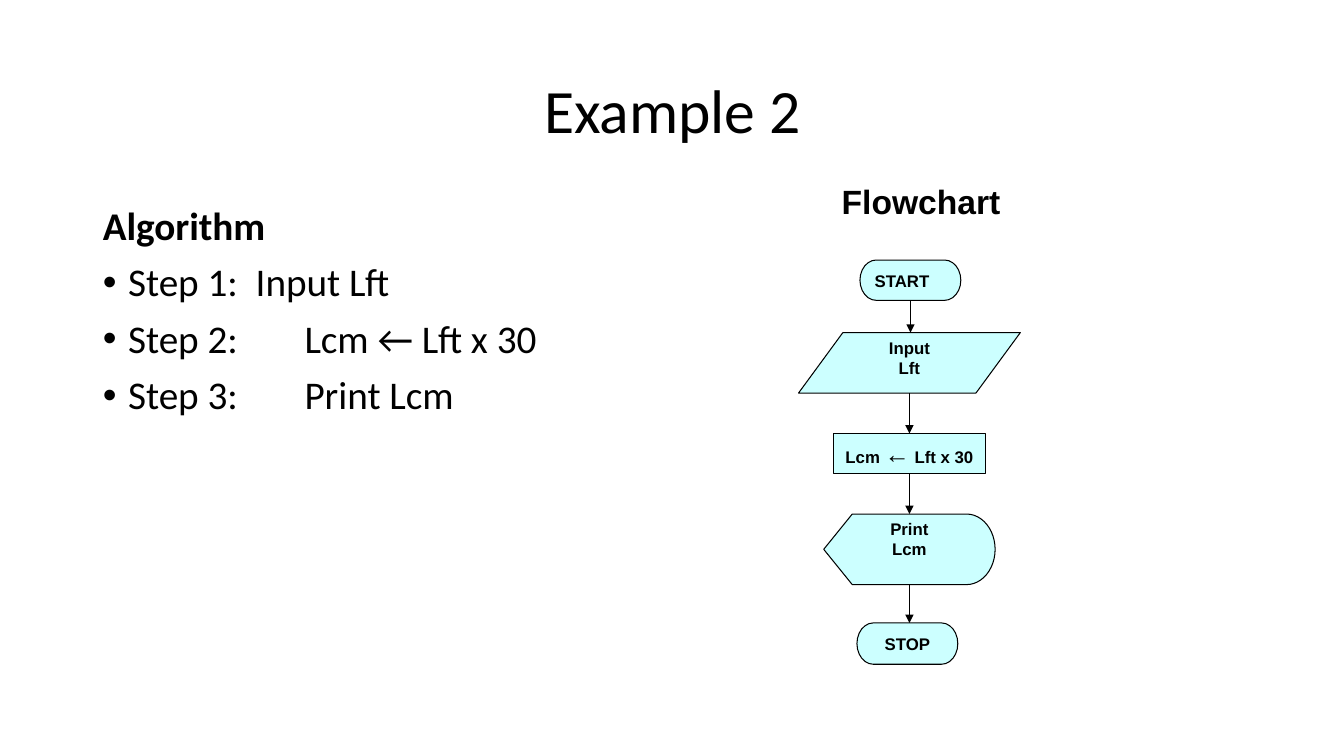
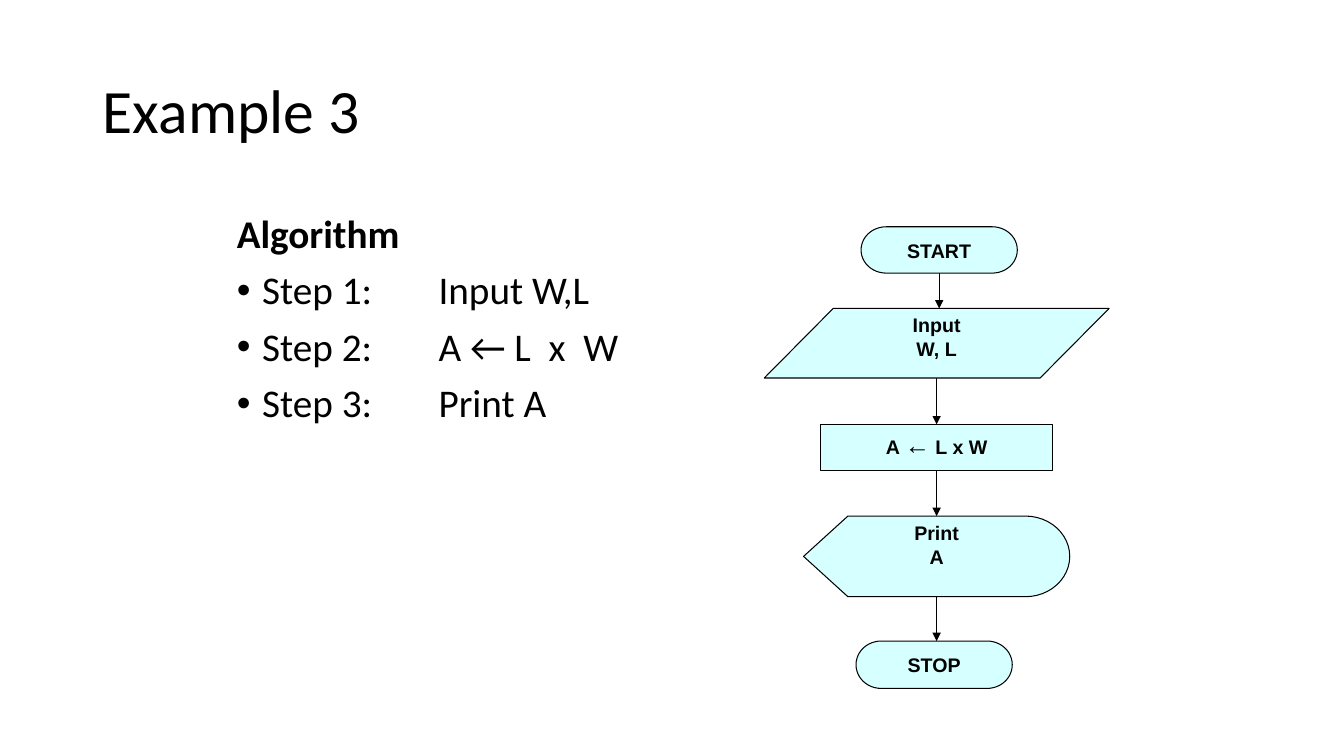
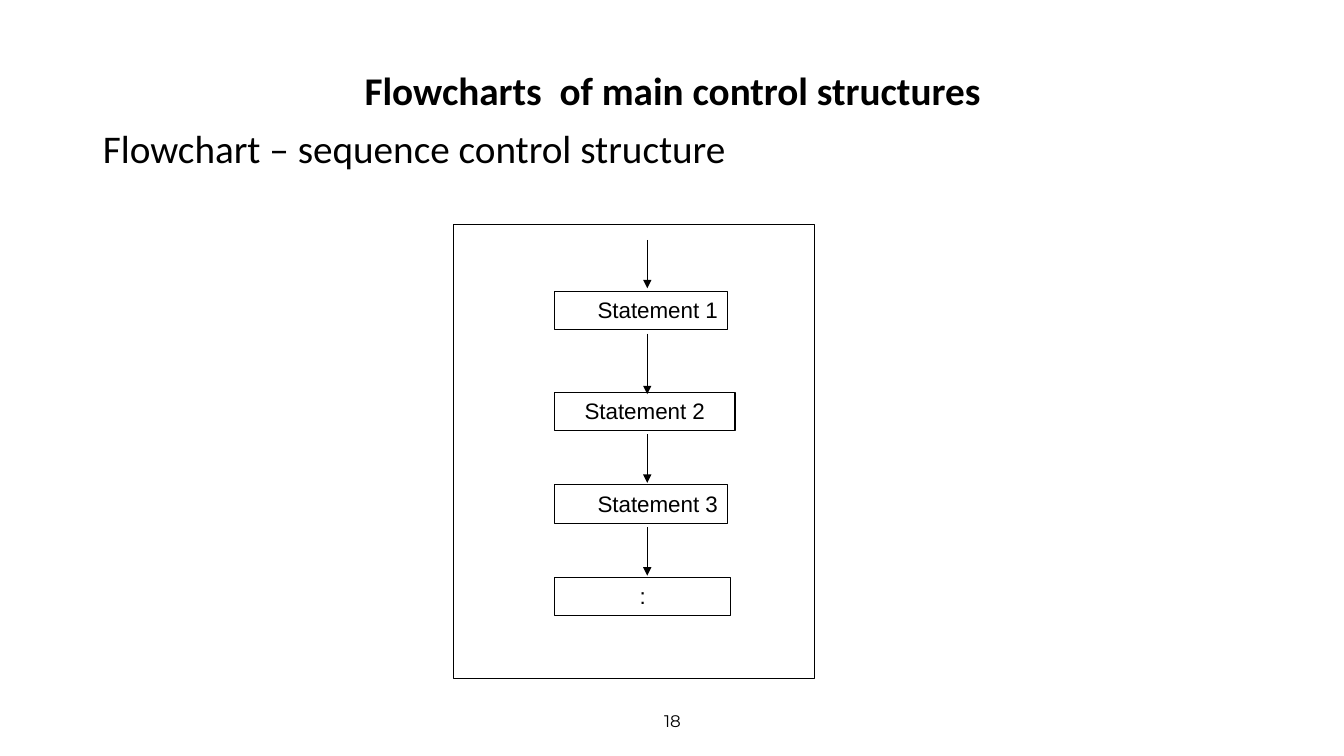
from lxml import etree
from pptx import Presentation
from pptx.dml.color import RGBColor
from pptx.enum.shapes import MSO_CONNECTOR, MSO_SHAPE
from pptx.enum.text import MSO_ANCHOR, MSO_AUTO_SIZE, PP_ALIGN
from pptx.oxml.ns import qn
from pptx.util import Inches, Pt

BLACK = RGBColor(0x00, 0x00, 0x00)
WHITE = RGBColor(0xFF, 0xFF, 0xFF)
PALE_CYAN = RGBColor(0xCC, 0xFF, 0xFF)

HEADING_FONT = "Calibri"
DIAGRAM_FONT = "Arial"
NUMBER_FONT = "Montserrat"

LEFT, CENTER, RIGHT = PP_ALIGN.LEFT, PP_ALIGN.CENTER, PP_ALIGN.RIGHT
TOP, MIDDLE = MSO_ANCHOR.TOP, MSO_ANCHOR.MIDDLE
NO_RESIZE = MSO_AUTO_SIZE.NONE
STRAIGHT = MSO_CONNECTOR.STRAIGHT
RECTANGLE = MSO_SHAPE.RECTANGLE
TERMINATOR = MSO_SHAPE.FLOWCHART_TERMINATOR
INPUT = MSO_SHAPE.FLOWCHART_DATA
PROCESS = MSO_SHAPE.FLOWCHART_PROCESS
DISPLAY = MSO_SHAPE.FLOWCHART_DISPLAY

TITLE_AREA = (0.92, 0.4, 11.5, 1.45)
CONTENT_LAYOUT, TITLE_ONLY_LAYOUT = 1, 5
TOP_SIDE, BOTTOM_SIDE = 0, 2
ASSIGN = "←"
LINE_WIDTH = Pt(0.75)


def add_text(paragraph, text, size=28, font=HEADING_FONT, bold=False,
             align=LEFT, line_spacing=None, space_before=0):
    paragraph.alignment = align
    paragraph.space_before = Pt(space_before)
    if line_spacing:
        paragraph.line_spacing = line_spacing
    run = paragraph.add_run()
    run.text = text
    run.font.size = Pt(size)
    run.font.name = font
    run.font.bold = bold
    run.font.color.rgb = BLACK


def place(shape, area):
    shape.left, shape.top, shape.width, shape.height = map(Inches, area)


def format_frame(shape, anchor):
    frame = shape.text_frame
    frame.word_wrap = True
    frame.auto_size = NO_RESIZE
    frame.vertical_anchor = anchor
    return frame


def get_paragraph(frame, index):
    return frame.add_paragraph() if index else frame.paragraphs[0]


def add_slide(presentation, layout, title, area=TITLE_AREA, size=44, align=LEFT):
    slide = presentation.slides.add_slide(presentation.slide_layouts[layout])
    slide.background.fill.solid()
    slide.background.fill.fore_color.rgb = WHITE
    shape = slide.shapes.title
    place(shape, area)
    frame = format_frame(shape, MIDDLE)
    add_text(frame.paragraphs[0], title, size=size, align=align, line_spacing=0.9)
    return slide


def add_text_box(slide, area, text, anchor=TOP, **text_format):
    box = slide.shapes.add_textbox(*map(Inches, area))
    frame = format_frame(box, anchor)
    add_text(frame.paragraphs[0], text, **text_format)


def set_bullet(paragraph, bullet):
    properties = paragraph._p.get_or_add_pPr()
    properties.set("marL", str(Inches(0.25)))
    properties.set("indent", str(Inches(-0.25)))
    properties.set("defTabSz", str(Inches(1)))
    if bullet:
        etree.SubElement(properties, qn("a:buFont")).set("typeface", DIAGRAM_FONT)
        etree.SubElement(properties, qn("a:buChar")).set("char", bullet)
    else:
        etree.SubElement(properties, qn("a:buNone"))


def fill_algorithm(slide, area, steps):
    body = slide.placeholders[1]
    place(body, area)
    frame = format_frame(body, TOP)
    for index, line in enumerate(["Algorithm", *steps]):
        paragraph = get_paragraph(frame, index)
        set_bullet(paragraph, "•" if index else None)
        add_text(paragraph, line, bold=index == 0, line_spacing=0.9,
                 space_before=10 if index else 0)


def add_box(slide, kind, area, lines=(), size=16, bold=False, align=CENTER,
            fill=None, opacity=100):
    shape = slide.shapes.add_shape(kind, *map(Inches, area))
    shape.shadow.inherit = False
    shape.line.color.rgb = BLACK
    shape.line.width = LINE_WIDTH
    if fill is None:
        shape.fill.background()
    else:
        shape.fill.solid()
        shape.fill.fore_color.rgb = fill
        if opacity < 100:
            color = shape._element.spPr.find(qn("a:solidFill"))[0]
            etree.SubElement(color, qn("a:alpha")).set("val", str(opacity * 1000))
    frame = format_frame(shape, TOP)
    for index, line in enumerate(lines):
        paragraph = get_paragraph(frame, index)
        for piece in filter(None, line.partition(ASSIGN)):
            is_arrow = piece == ASSIGN
            add_text(paragraph, piece, size=18 if is_arrow else size,
                     font=DIAGRAM_FONT, bold=bold and not is_arrow, align=align)
    return shape


def add_arrow(slide, x, start, end):
    connector = slide.shapes.add_connector(STRAIGHT, x, start, x, end)
    connector.line.color.rgb = BLACK
    connector.line.width = LINE_WIDTH
    tail = etree.SubElement(connector.line._get_or_add_ln(), qn("a:tailEnd"))
    tail.set("type", "triangle")
    etree.SubElement(connector._element.spPr, qn("a:effectLst"))
    return connector


def add_flowchart(slide, steps, size, opacity=100, start_align=CENTER):
    boxes = []
    for index, (kind, area, lines) in enumerate(steps):
        align = CENTER if index else start_align
        boxes.append(add_box(slide, kind, area, lines, size=size, bold=True,
                             align=align, fill=PALE_CYAN, opacity=opacity))
    for source, target in zip(boxes, boxes[1:]):
        middle = source.left + source.width // 2
        arrow = add_arrow(slide, middle, source.top + source.height, target.top)
        if source.auto_shape_type == PROCESS:
            arrow.begin_connect(source, BOTTOM_SIDE)
        if target.auto_shape_type == PROCESS:
            arrow.end_connect(target, TOP_SIDE)


def build_example_2(presentation):
    slide = add_slide(presentation, CONTENT_LAYOUT, "Example 2", align=CENTER)
    fill_algorithm(slide, (0.92, 2, 11.5, 4.76), [
        "Step 1:  Input Lft",
        "Step 2: \tLcm ← Lft x 30",
        "Step 3: \tPrint Lcm",
    ])
    add_flowchart(slide, [
        (TERMINATOR, (8.53, 2.58, 1, 0.4), ["START"]),
        (INPUT, (7.92, 3.3, 2.2, 0.6), ["Input", "Lft"]),
        (PROCESS, (8.27, 4.3, 1.5, 0.4), ["Lcm ← Lft x 30"]),
        (DISPLAY, (8.17, 5.1, 1.7, 0.7), ["Print", "Lcm"]),
        (TERMINATOR, (8.5, 6.18, 1, 0.41), ["STOP"]),
    ], size=12, start_align=LEFT)
    add_text_box(slide, (8.25, 1.75, 2.42, 0.5), "Flowchart",
                 size=24, font=DIAGRAM_FONT, bold=True)


def build_example_3(presentation):
    slide = add_slide(presentation, CONTENT_LAYOUT, "Example 3")
    fill_algorithm(slide, (2.25, 2.08, 9, 4.25), [
        "Step 1: \tInput W,L",
        "Step 2: \tA ← L  x  W",
        "Step 3: \tPrint A",
    ])
    add_flowchart(slide, [
        (TERMINATOR, (8.54, 2.25, 1.55, 0.46), ["START"]),
        (INPUT, (7.58, 3.06, 3.42, 0.69), ["Input", "W, L"]),
        (PROCESS, (8.14, 4.21, 2.3, 0.46), ["A ← L x W"]),
        (DISPLAY, (7.97, 5.12, 2.64, 0.8), ["Print", "A"]),
        (TERMINATOR, (8.49, 6.36, 1.55, 0.47), ["STOP"]),
    ], size=14, opacity=80)


def build_sequence(presentation):
    slide = add_slide(presentation, TITLE_ONLY_LAYOUT,
                      "Flowchart – sequence control structure",
                      area=(0.92, 1.15, 11.5, 0.7), size=28)
    add_text_box(slide, (0.92, 0.57, 11.5, 0.7),
                 "Flowcharts  of main control structures",
                 anchor=MIDDLE, bold=True, align=CENTER, line_spacing=0.9)
    add_box(slide, RECTANGLE, (4.5, 2.23, 3.58, 4.5))
    statements = [
        ("Statement 1", 2.89, 1.72, RIGHT),
        ("Statement 2", 3.89, 1.79, CENTER),
        ("Statement 3", 4.81, 1.72, RIGHT),
        (":", 5.73, 1.75, CENTER),
    ]
    for text, top, width, align in statements:
        add_box(slide, RECTANGLE, (5.5, top, width, 0.38), [text], align=align)
    for start, end in [(2.38, 2.86), (3.31, 3.91), (4.31, 4.79), (5.23, 5.71)]:
        add_arrow(slide, Inches(6.42), Inches(start), Inches(end))
    add_text_box(slide, (4.42, 6.95, 4.5, 0.4), "18", anchor=MIDDLE,
                 size=12, font=NUMBER_FONT, align=CENTER)


def main():
    presentation = Presentation()
    presentation.slide_width = Inches(13.33)
    presentation.slide_height = Inches(7.5)
    build_example_2(presentation)
    build_example_3(presentation)
    build_sequence(presentation)
    presentation.save("out.pptx")


if __name__ == "__main__":
    main()
